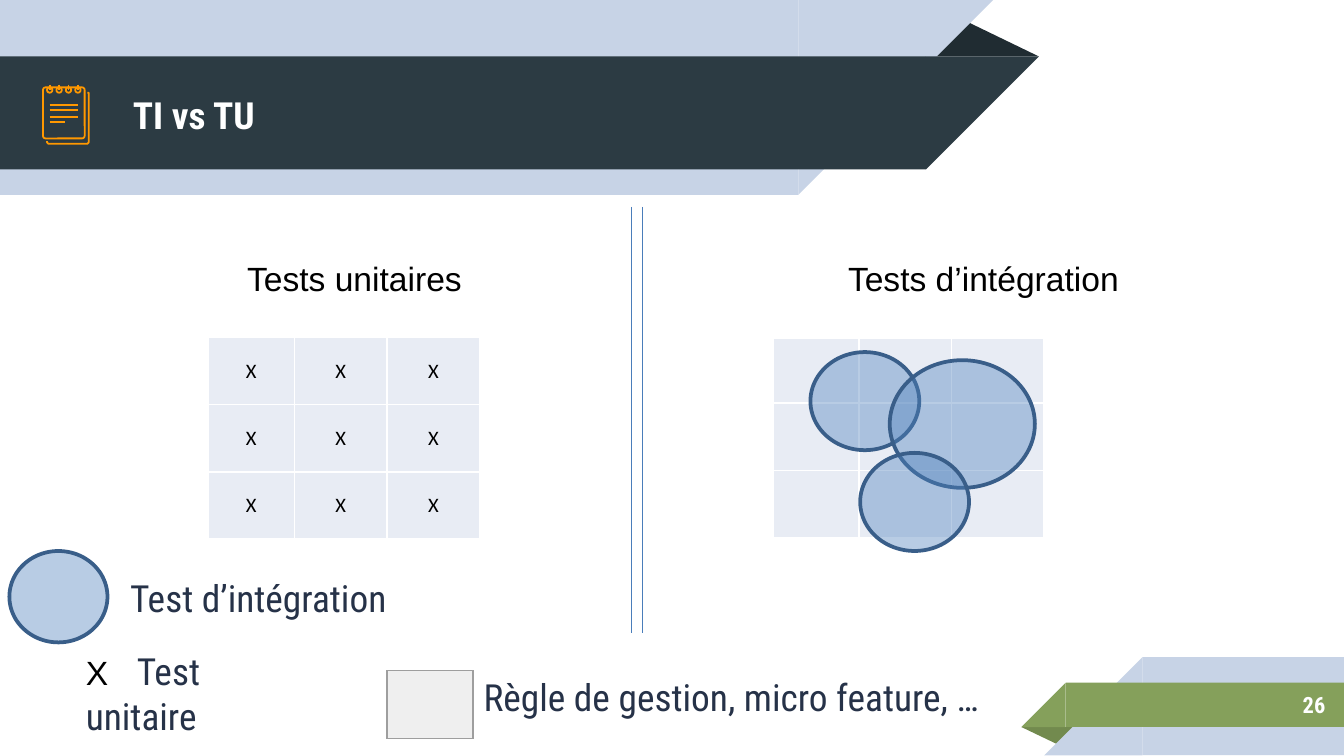
"""Builds the slide comparing unit tests with integration tests."""
from lxml.etree import SubElement
from pptx import Presentation
from pptx.dml.color import RGBColor
from pptx.enum.shapes import MSO_CONNECTOR, MSO_SHAPE as Preset
from pptx.enum.text import MSO_ANCHOR as Anchor, PP_ALIGN as Align
from pptx.oxml.ns import qn
from pptx.util import Inches, Pt

WHITE = RGBColor(0xFF, 0xFF, 0xFF)
BLACK = RGBColor(0, 0, 0)
PALE_BLUE = RGBColor(0xC7, 0xD3, 0xE6)
SLATE = RGBColor(0x2C, 0x3B, 0x43)
DARK_SLATE = RGBColor(0x20, 0x2C, 0x32)
GREEN = RGBColor(0x85, 0xA0, 0x5B)
DARK_GREEN = RGBColor(0x72, 0x8A, 0x4E)
ORANGE = RGBColor(0xFF, 0x98, 0x00)
NAVY = RGBColor(0x26, 0x32, 0x48)
RULE_BLUE = RGBColor(0x4A, 0x7D, 0xBA)
CIRCLE_FILL = RGBColor(0x4F, 0x81, 0xBD)
CIRCLE_LINE = RGBColor(0x39, 0x5E, 0x89)
CELL_FILL = RGBColor(0xE8, 0xEC, 0xF4)
LEGEND_FILL = RGBColor(0xEF, 0xEF, 0xEF)
LEGEND_LINE = RGBColor(0x9E, 0x9E, 0x9E)

CONDENSED = "Roboto Condensed"
HEADING = ("Arial", 18, BLACK, False)
LABEL = (CONDENSED, 20, NAVY, False)

BANNERS = [
    (Preset.ISOSCELES_TRIANGLE, (6.88, 0.14, 0.85, 0.28), 0, DARK_SLATE),
    (Preset.RECTANGLE, (0, 0, 5.94, 1.45), 0, PALE_BLUE),
    (Preset.RIGHT_TRIANGLE, (5.94, 0, 1.45, 1.45), 90, PALE_BLUE),
    (Preset.RECTANGLE, (0, 0.42, 6.89, 0.84), 0, SLATE),
    (Preset.RIGHT_TRIANGLE, (6.89, 0.42, 0.84, 0.84), 90, SLATE),
    (Preset.ISOSCELES_TRIANGLE, (7.6, 5.41, 0.43, 0.14), 180, DARK_GREEN),
    (Preset.RECTANGLE, (8.5, 4.89, 1.5, 0.73), 0, PALE_BLUE),
    (Preset.RIGHT_TRIANGLE, (7.77, 4.89, 0.73, 0.73), 270, PALE_BLUE),
    (Preset.RECTANGLE, (7.93, 5.08, 2.08, 0.33), 0, GREEN),
    (Preset.RIGHT_TRIANGLE, (7.6, 5.08, 0.33, 0.33), 270, GREEN),
]
BACK_PAGE = [(0.35, 1.05), (0.35, 1.06), (0.36, 1.07), (0.37, 1.07), (0.65, 1.07),
             (0.66, 1.06), (0.66, 1.05), (0.66, 0.7), (0.66, 0.69), (0.65, 0.69)]
RING_CENTRES = [0.37, 0.44, 0.51, 0.58]
NOTE_LINES = [(0.78, 0.58), (0.82, 0.58), (0.87, 0.58), (0.91, 0.48)]
DIVIDERS = [4.7, 4.78]
CIRCLES = [(6.03, 2.62, 0.81, 0.73), (6.62, 2.68, 1.08, 0.95),
           (6.4, 3.37, 0.81, 0.73), (0.07, 4.1, 0.73, 0.68)]
COLUMNS = [0.64, 0.69, 0.69]
TABLES = [
    (1.55, 2.51, COLUMNS, [0.5, 0.5, 0.5], "X", CELL_FILL, WHITE, 1, 0.01),
    (5.75, 2.52, COLUMNS, [0.48, 0.5, 0.5], "", CELL_FILL, WHITE, 1, 0.01),
    (2.88, 4.99, [0.64], [0.4], "", LEGEND_FILL, LEGEND_LINE, 0.75, 0.1),
]
TEXTS = [
    ((0.89, 0.43, 5.75, 0.84), [("TI vs TU", (CONDENSED, 20, WHITE, True))], {}),
    ((8.33, 5.07, 1.63, 0.35), [("26", (CONDENSED, 12, WHITE, True))], {"align": Align.RIGHT}),
    ((1.74, 1.87, 2.35, 0.4), [("Tests unitaires", HEADING)], {"anchor": Anchor.TOP}),
    ((6.09, 1.87, 2.97, 0.4), [("Tests d’intégration", HEADING)],
     {"anchor": Anchor.TOP, "left": 0.22}),
    ((0.54, 4.96, 1.94, 0.4),
     [("X\t", HEADING), ("Test", LABEL), (" ", HEADING), ("unitaire", LABEL)],
     {"right": 0.4, "tab": 0.38}),
    ((0.87, 4.25, 2.46, 0.4), [("Test d’intégration", LABEL)], {}),
    ((3.5, 4.98, 4.1, 0.4), [("Règle de gestion, micro feature, …", LABEL)], {}),
]


def style_shape(shape, fill=None, line=None, width=1.0):
    shape.shadow.inherit = False
    if fill is None:
        shape.fill.background()
    else:
        shape.fill.solid()
        shape.fill.fore_color.rgb = fill
    if line is None:
        shape.line.fill.background()
    else:
        shape.line.color.rgb = line
        shape.line.width = Pt(width)


def add_shape(shapes, preset, box, fill=None, line=None, width=1.0):
    shape = shapes.add_shape(preset, *map(Inches, box))
    style_shape(shape, fill, line, width)
    return shape


def add_line(shapes, start, end, color, width):
    line = shapes.add_connector(MSO_CONNECTOR.STRAIGHT, *map(Inches, start + end))
    line.line.color.rgb = color
    line.line.width = Pt(width)
    SubElement(line._element.spPr, qn("a:effectLst"))


def add_run(paragraph, text, style):
    run = paragraph.add_run()
    run.text = text
    run.font.name, run.font.size, run.font.bold = style[0], Pt(style[1]), style[3]
    run.font.color.rgb = style[2]


def add_text(shapes, box, runs, anchor=Anchor.MIDDLE, align=Align.LEFT,
             left=0.1, right=0.1, tab=None):
    frame = shapes.add_textbox(*map(Inches, box)).text_frame
    frame.word_wrap = True
    frame.vertical_anchor = anchor
    frame.margin_left, frame.margin_right = Inches(left), Inches(right)
    paragraph = frame.paragraphs[0]
    paragraph.alignment = align
    if tab:
        tabs = SubElement(paragraph._p.get_or_add_pPr(), qn("a:tabLst"))
        SubElement(tabs, qn("a:tab"), pos=str(Inches(tab)), algn="l")
    for text, style in runs:
        add_run(paragraph, text, style)


def add_borders(cell, color, width):
    properties = cell._tc.get_or_add_tcPr()
    for side in ("lnL", "lnR", "lnT", "lnB"):
        border = SubElement(properties, qn(f"a:{side}"), w=str(Pt(width)))
        SubElement(SubElement(border, qn("a:solidFill")), qn("a:srgbClr"), val=str(color))


def add_grid(shapes, left, top, columns, rows, mark, fill, line, width, margin):
    size = (left, top, sum(columns), sum(rows))
    table = shapes.add_table(len(rows), len(columns), *map(Inches, size)).table
    table.first_row = table.horz_banding = False
    for column, length in zip(table.columns, columns):
        column.width = Inches(length)
    for row, length in zip(table.rows, rows):
        row.height = Inches(length)
    for cell in table.iter_cells():
        cell.margin_left = cell.margin_right = Inches(margin)
        cell.margin_top = cell.margin_bottom = Inches(margin)
        cell.vertical_anchor = Anchor.MIDDLE
        add_borders(cell, line, width)
        cell.fill.solid()
        cell.fill.fore_color.rgb = fill
        if mark:
            paragraph = cell.text_frame.paragraphs[0]
            paragraph.alignment = Align.CENTER
            add_run(paragraph, mark, ("Calibri", 11, BLACK, False))


def add_notepad(shapes):
    corners = [(Inches(x), Inches(y)) for x, y in BACK_PAGE]
    builder = shapes.build_freeform(*corners[0])
    builder.add_line_segments(corners[1:], close=False)
    style_shape(builder.convert_to_shape(), line=ORANGE, width=0.96)
    front = add_shape(shapes, Preset.ROUNDED_RECTANGLE, (0.32, 0.65, 0.31, 0.38),
                      line=ORANGE, width=0.96)
    front.adjustments[0] = 0.06
    for x in RING_CENTRES:
        add_shape(shapes, Preset.OVAL, (x - 0.02, 0.65, 0.04, 0.04), line=ORANGE, width=0.96)
        add_line(shapes, (x, 0.63), (x, 0.67), ORANGE, 0.96)
    for y, end in NOTE_LINES:
        add_line(shapes, (0.37, y), (end, y), ORANGE, 0.96)


def main():
    presentation = Presentation()
    presentation.slide_width = Inches(10)
    presentation.slide_height = Inches(10) * 9 // 16
    shapes = presentation.slides.add_slide(presentation.slide_layouts[6]).shapes
    for preset, box, rotation, fill in BANNERS:
        banner = add_shape(shapes, preset, box, fill)
        banner.rotation = rotation
        if preset == Preset.ISOSCELES_TRIANGLE:
            banner.adjustments[0] = 0.32
    add_notepad(shapes)
    for grid in TABLES:
        add_grid(shapes, *grid)
    for x in DIVIDERS:
        add_line(shapes, (x, 1.54), (x, 4.71), RULE_BLUE, 0.75)
    for box in CIRCLES:
        circle = add_shape(shapes, Preset.OVAL, box, CIRCLE_FILL, CIRCLE_LINE, 2)
        color = circle.fill._xPr.find(qn("a:solidFill"))[0]
        SubElement(color, qn("a:alpha"), val="40000")
    for box, runs, options in TEXTS:
        add_text(shapes, box, runs, **options)
    presentation.save("out.pptx")


if __name__ == "__main__":
    main()
